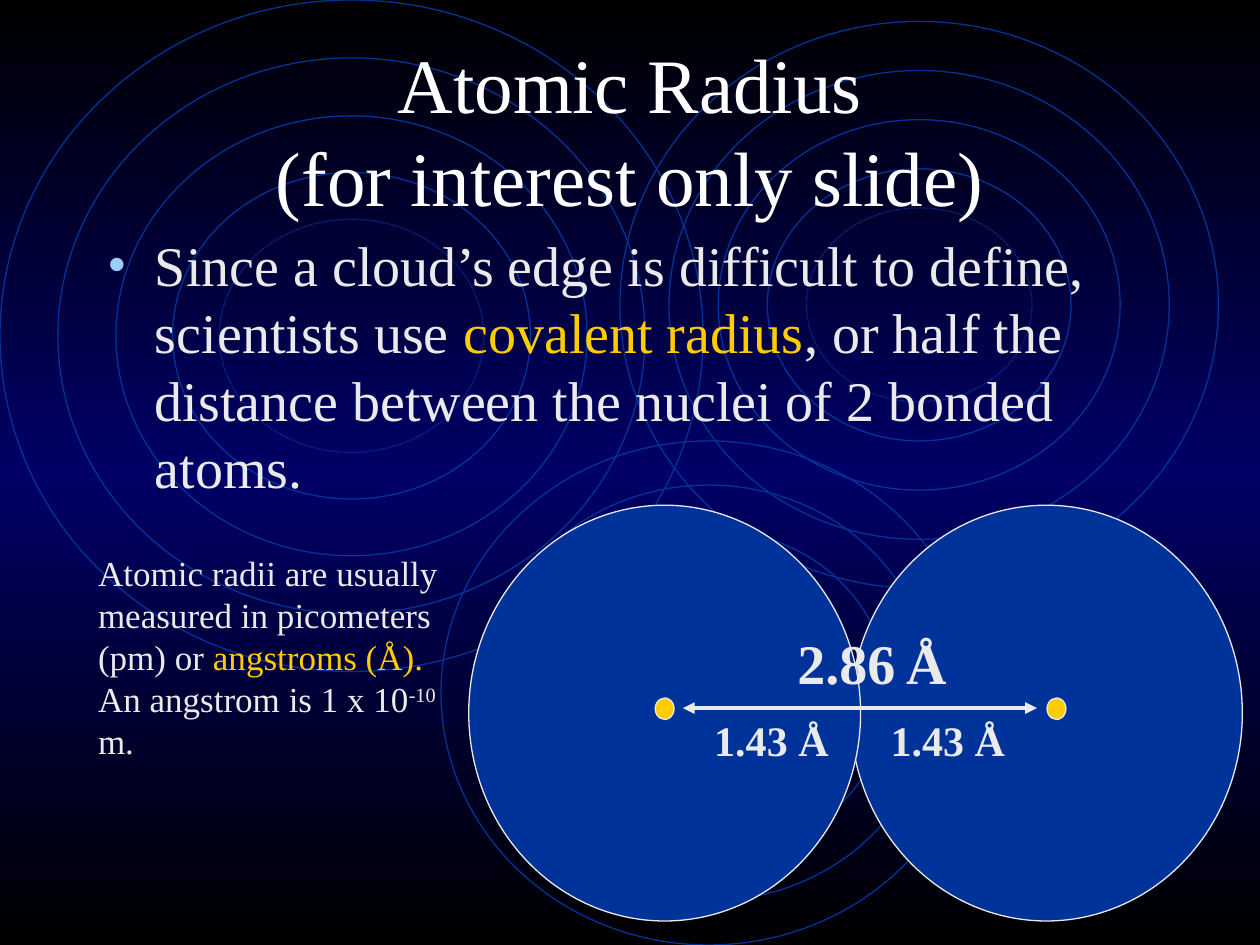
from copy import deepcopy

from lxml.etree import SubElement
from pptx import Presentation
from pptx.dml.color import RGBColor
from pptx.enum.dml import MSO_LINE
from pptx.enum.shapes import MSO_CONNECTOR, MSO_SHAPE
from pptx.enum.text import MSO_ANCHOR, MSO_AUTO_SIZE, PP_ALIGN
from pptx.oxml.ns import qn
from pptx.util import Pt

PX = 9144  # 100 px to the inch
WHITE, PALE, GOLD, BLUE = "FFFFFF", "EAEAEA", "FFCC00", "003399"
RINGS = [(0, 0, 558, 533), (350, 350, 425, 400), (492, 17, 475, 450)]
INSETS = [0, 0.082, 0.164, 0.246, 0.312]  # share of the outer width


def tint(code):
    return RGBColor.from_string(code)


class Board:
    """Holds the text style and the slide being drawn."""

    def __init__(self, slide, font):
        self.slide = slide
        self.shapes = slide.shapes
        self.font = font

    def shade(self, stops):
        fill = self.slide.background.fill
        fill.gradient()
        fill.gradient_angle = 90
        band = self.slide.background.element.xpath(".//a:gsLst")[0]
        while len(band) < len(stops):
            band.append(deepcopy(band[0]))
        for stop, (place, code) in zip(fill.gradient_stops, stops):
            stop.position = place
            stop.color.rgb = tint(code)

    def oval(self, box, line, fill=None, dash=None):
        shape = self.shapes.add_shape(MSO_SHAPE.OVAL, *[n * PX for n in box])
        shape.shadow.inherit = False
        if fill:
            shape.fill.solid()
            shape.fill.fore_color.rgb = tint(fill)
        else:
            shape.fill.background()
        shape.line.color.rgb = tint(line)
        shape.line.width = Pt(0.75)
        if dash:
            shape.line.dash_style = dash

    def arrow(self, left, right, y):
        """Draw a level line with a head at each end."""
        line = self.shapes.add_connector(
            MSO_CONNECTOR.STRAIGHT, left * PX, y * PX, right * PX, y * PX)
        line.line.color.rgb = tint(PALE)
        line.line.width = Pt(2.25)
        pen = line.element.xpath(".//a:ln")[0]
        for end in ("a:headEnd", "a:tailEnd"):
            SubElement(pen, qn(end), type="triangle")
        SubElement(line.element.spPr, qn("a:effectLst"))

    def prose(self, shape, paras, size, color=PALE, align=PP_ALIGN.LEFT,
              bold=False, anchor=MSO_ANCHOR.TOP):
        """Fill a shape with paragraphs, each a list of (text, changes)."""
        frame = shape.text_frame
        look = {"word_wrap": True, "auto_size": MSO_AUTO_SIZE.NONE,
                "vertical_anchor": anchor}
        for name, value in look.items():
            setattr(frame, name, value)
        for i, runs in enumerate(paras):
            para = frame.add_paragraph() if i else frame.paragraphs[0]
            para.alignment = align
            for text, change in runs:
                run = para.add_run()
                run.text = text
                look = {"name": self.font, "bold": bold,
                        "size": Pt(change.get("size", size))}
                for name, value in look.items():
                    setattr(run.font, name, value)
                run.font.color.rgb = tint(change.get("color", color))
                if "base" in change:
                    mark = shape.element.xpath(".//a:rPr")[-1]
                    mark.set("baseline", str(change["base"] * 1000))

    def label(self, box, runs, size, **style):
        shape = self.shapes.add_textbox(*[n * PX for n in box])
        self.prose(shape, [runs], size, **style)

    def holder(self, index, box, paras, size, **style):
        """Move a placeholder to the front and fill it."""
        shape = self.shapes.placeholders[index]
        names = ("left", "top", "width", "height")
        for name, value in zip(names, box):
            setattr(shape, name, value * PX)
        shape.element.getparent().append(shape.element)
        self.prose(shape, paras, size, **style)
        return shape

    def bullet(self, shape, color, indent):
        for para in shape.element.xpath(".//a:pPr"):
            para.set("marL", str(indent * PX))
            para.set("indent", str(-indent * PX))
            SubElement(SubElement(para, qn("a:buClr")),
                       qn("a:srgbClr"), val=color)
            SubElement(para, qn("a:buFont"), typeface=self.font)
            SubElement(para, qn("a:buChar"), char="•")


def main():
    deck = Presentation()
    deck.slide_width, deck.slide_height = 1000 * PX, 750 * PX
    slide = deck.slides.add_slide(deck.slide_layouts[1])
    board = Board(slide, "Times New Roman")
    board.shade([(0, "000000"), (0.5, "000066"), (1, "000000")])

    for x, y, w, h in RINGS:
        for share in INSETS:
            gap = round(w * share)
            dash = MSO_LINE.ROUND_DOT if share == INSETS[-1] else None
            board.oval((x + gap, y + gap, w - 2 * gap, h - 2 * gap),
                       BLUE, dash=dash)

    board.holder(0, (75, 40, 850, 125),
                 [[("Atomic Radius", {})],
                  [("(for interest only slide)", {})]],
                 44, color=WHITE, align=PP_ALIGN.CENTER,
                 anchor=MSO_ANCHOR.MIDDLE)
    body = board.holder(1, (75, 178, 850, 255), [[
        ("Since a cloud’s edge is difficult to define, scientists use ", {}),
        ("covalent radius", {"color": GOLD}),
        (", or half the distance between the nuclei of 2 bonded atoms.", {}),
    ]], 32)
    board.bullet(body, "99CCFF", 38)

    for x in (675, 372):
        board.oval((x, 401, 311, 330), PALE, BLUE)
    for x in (520, 831):
        board.oval((x, 554, 15, 17), PALE, GOLD)
    board.arrow(542, 823, 562)
    board.label((623, 494, 141, 64),
                [("2.86", {}), (" ", {"size": 24}), ("Å", {})], 32, bold=True)
    for x in (557, 697):
        board.label((x, 562, 111, 51), [("1.43 Å", {})], 24, bold=True)

    board.label((68, 433, 296, 219), [
        ("Atomic radii are usually measured in picometers (pm) or ", {}),
        ("angstroms (Å).", {"color": GOLD}),
        (" An angstrom is 1 x 10", {}),
        ("-10", {"base": 30}),
        (" m.", {}),
    ], 20)
    deck.save("out.pptx")


if __name__ == "__main__":
    main()
